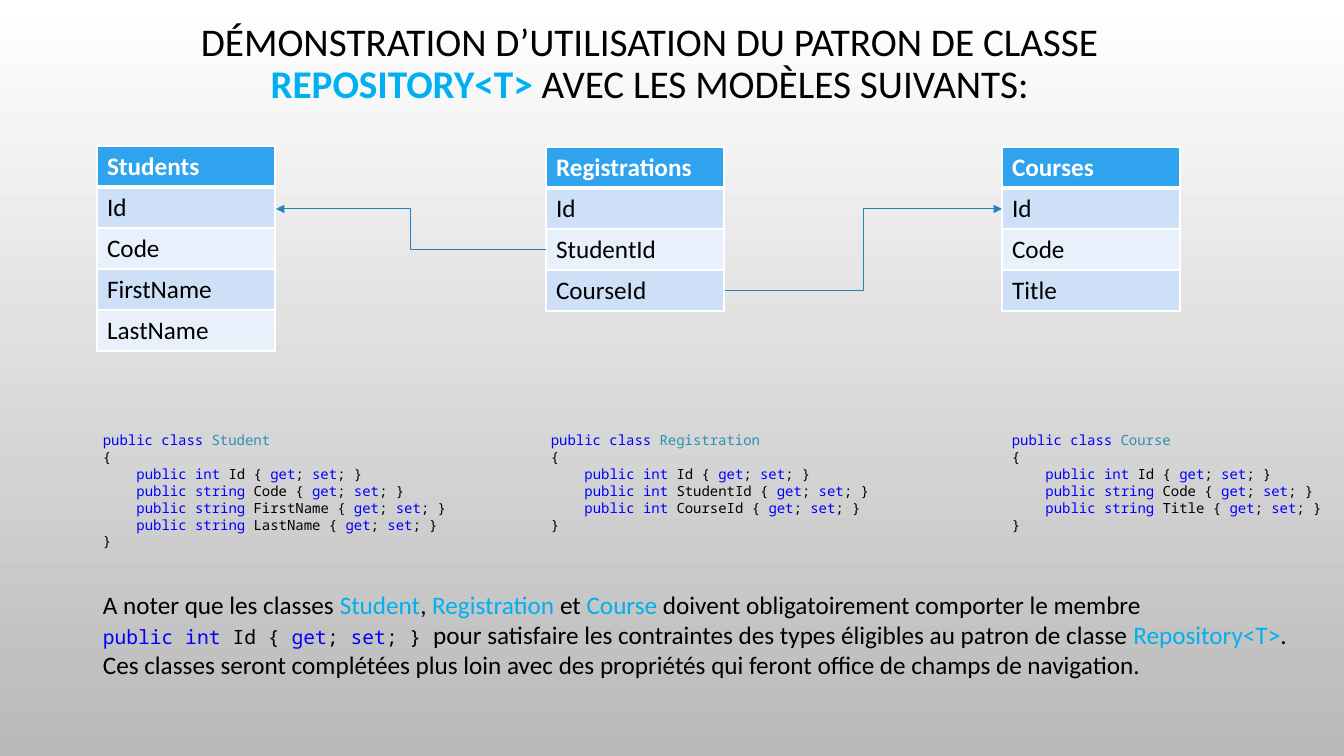
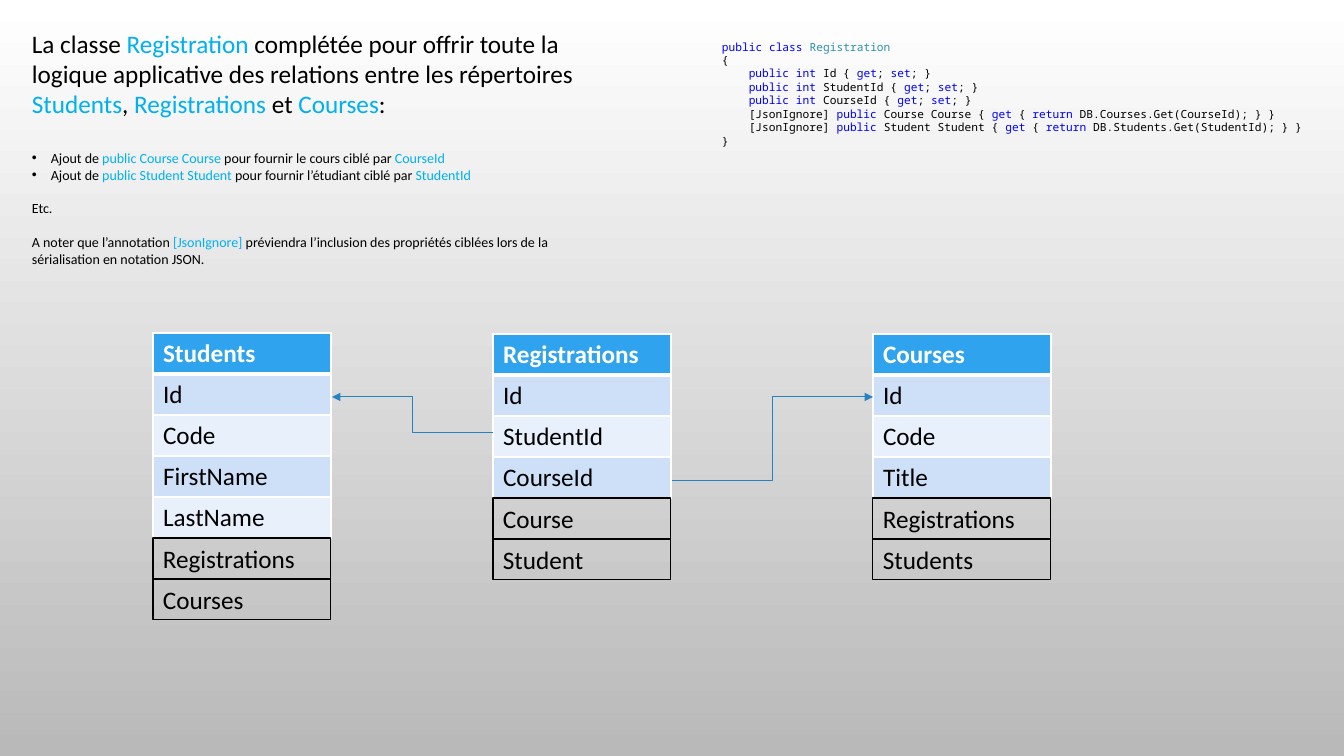
import itertools

import lxml.etree
import pptx
import pptx.dml.color
import pptx.enum.shapes
import pptx.enum.text
import pptx.oxml.ns
import pptx.util

RGBColor = pptx.dml.color.RGBColor
BLACK = RGBColor(0x00, 0x00, 0x00)
WHITE = RGBColor(0xFF, 0xFF, 0xFF)
GREY = RGBColor(0xB9, 0xB9, 0xB9)
ACCENT = RGBColor(0x00, 0xB0, 0xF0)
KEYWORD = RGBColor(0x00, 0x00, 0xFF)
TYPE_NAME = RGBColor(0x2B, 0x91, 0xAF)
HEADER = RGBColor(0x2F, 0xA3, 0xEE)
BANDS = [RGBColor(0xCD, 0xE0, 0xF8), RGBColor(0xE8, 0xF0, 0xFC)]
LINK = RGBColor(0x26, 0x83, 0xBF)

PROSE_FONT = "Calibri"
CODE_FONT = "Noto Sans Mono"
KEYWORDS = {"public", "class", "int", "string", "get", "set", "return"}
SLIDE_WIDTH, SLIDE_HEIGHT = 1344, 756
SCALE = 12192000 / SLIDE_WIDTH
TABLE_WIDTH, ROW_HEIGHT = 178, 41

STUDENTS = ["Students", "Id", "Code", "FirstName", "LastName"]
REGISTRATIONS = ["Registrations", "Id", "StudentId", "CourseId"]
COURSES = ["Courses", "Id", "Code", "Title"]


def px(length):
    return pptx.util.Emu(round(length * SCALE))


def add_xml(parent, tag, **attributes):
    return lxml.etree.SubElement(parent, pptx.oxml.ns.qn(tag), attributes)


def prose(text, size=18, color=BLACK, bold=False, accent_bold=False):
    for index, part in enumerate(text.split("|")):
        if part:
            accented = index % 2 == 1
            yield part, {
                "name": PROSE_FONT,
                "size": pptx.util.Pt(size),
                "bold": accent_bold if accented else bold,
                "color": ACCENT if accented else color,
            }


def code(text, size):
    colored = []
    previous_word, color = "", BLACK
    for is_word, letters in itertools.groupby(text, str.isalnum):
        token = "".join(letters)
        if is_word:
            color = KEYWORD if token in KEYWORDS else BLACK
            if previous_word == "class":
                color = TYPE_NAME
            previous_word = token
        elif not token.isspace():
            color = BLACK
        colored.append((token, color))
    for color, tokens in itertools.groupby(colored, lambda item: item[1]):
        yield "".join(token for token, _ in tokens), {
            "name": CODE_FONT,
            "size": pptx.util.Pt(size),
            "color": color,
        }


class Deck:
    def __init__(self):
        self.presentation = pptx.Presentation()
        self.presentation.slide_width = px(SLIDE_WIDTH)
        self.presentation.slide_height = px(SLIDE_HEIGHT)
        fill = self.presentation.slide_master.background.fill
        fill.gradient()
        fill.gradient_angle = 270
        for stop, color in zip(fill.gradient_stops, [WHITE, GREY]):
            stop.color.rgb = color
        self.slide = None

    def add_slide(self, titled=False):
        layout = self.presentation.slide_layouts[5 if titled else 6]
        self.slide = self.presentation.slides.add_slide(layout)

    def add_runs(self, paragraph, runs, **formats):
        for name, value in formats.items():
            setattr(paragraph, name, value)
        for text, font_formats in runs:
            run = paragraph.add_run()
            run.text = text
            for name, value in font_formats.items():
                if name == "color":
                    run.font.color.rgb = value
                else:
                    setattr(run.font, name, value)

    def title(self, left, top, width, height, text):
        shape = self.slide.shapes.title
        box = {"left": left, "top": top, "width": width, "height": height}
        for name, value in box.items():
            setattr(shape, name, px(value))
        frame = shape.text_frame
        frame.word_wrap = True
        frame.auto_size = pptx.enum.text.MSO_AUTO_SIZE.NONE
        frame.vertical_anchor = pptx.enum.text.MSO_ANCHOR.MIDDLE
        self.add_runs(
            frame.paragraphs[0],
            prose(text, 28, accent_bold=True),
            alignment=pptx.enum.text.PP_ALIGN.CENTER,
            line_spacing=0.9,
        )

    def text(self, left, top, width, height, paragraphs):
        shape = self.slide.shapes.add_textbox(*map(px, (left, top, width, height)))
        frame = shape.text_frame
        frame.word_wrap = True
        frame.auto_size = pptx.enum.text.MSO_AUTO_SIZE.SHAPE_TO_FIT_TEXT
        for index, (runs, formats) in enumerate(paragraphs):
            paragraph = frame.add_paragraph() if index else frame.paragraphs[0]
            self.add_runs(paragraph, runs, **formats)
        return frame.paragraphs

    def bullet(self, paragraph, indent=19):
        properties = paragraph._p.get_or_add_pPr()
        properties.set("marL", str(px(indent)))
        properties.set("indent", str(-px(indent)))
        add_xml(properties, "a:buFont", typeface="Arial")
        add_xml(properties, "a:buChar", char="•")

    def class_code(self, left, top, width, height, name, members, size=10):
        lines = [f"public class {name}", "{", *members, "}"]
        paragraphs = self.text(
            left, top, width, height, [(code(line, size), {}) for line in lines]
        )
        for paragraph in paragraphs[2:-1]:
            indent = pptx.util.Pt(size * 0.6 * 4)
            paragraph._p.get_or_add_pPr().set("marL", str(indent))

    def table(self, left, top, names):
        frame = self.slide.shapes.add_table(
            len(names), 1, px(left), px(top), px(TABLE_WIDTH), px(ROW_HEIGHT * len(names))
        )
        for index, name in enumerate(names):
            is_header = index == 0
            cell = frame.table.cell(index, 0)
            properties = cell._tc.get_or_add_tcPr()
            widths = {"L": 1, "R": 1, "T": 3 if index == 1 else 1, "B": 3 if is_header else 1}
            for side, width in widths.items():
                border = add_xml(properties, f"a:ln{side}", w=str(pptx.util.Pt(width)))
                add_xml(add_xml(border, "a:solidFill"), "a:srgbClr", val=str(WHITE))
            cell.fill.solid()
            cell.fill.fore_color.rgb = HEADER if is_header else BANDS[(index - 1) % 2]
            color = WHITE if is_header else BLACK
            self.add_runs(
                cell.text_frame.paragraphs[0], prose(name, color=color, bold=is_header)
            )

    def added_fields(self, left, top, names):
        for index, name in enumerate(names):
            shape = self.slide.shapes.add_shape(
                pptx.enum.shapes.MSO_SHAPE.RECTANGLE,
                px(left), px(top + index * ROW_HEIGHT), px(TABLE_WIDTH), px(ROW_HEIGHT),
            )
            shape.shadow.inherit = False
            shape.fill.background()
            shape.line.color.rgb = BLACK
            shape.line.width = pptx.util.Pt(0.75)
            shape.text_frame.word_wrap = True
            shape.text_frame.vertical_anchor = pptx.enum.text.MSO_ANCHOR.TOP
            self.add_runs(
                shape.text_frame.paragraphs[0],
                prose(name),
                alignment=pptx.enum.text.PP_ALIGN.LEFT,
            )

    def relation(self, begin_x, begin_y, end_x, end_y):
        connector = self.slide.shapes.add_connector(
            pptx.enum.shapes.MSO_CONNECTOR.ELBOW,
            *map(px, (begin_x, begin_y, end_x, end_y)),
        )
        connector.line.color.rgb = LINK
        connector.line.width = pptx.util.Pt(0.75)
        properties = connector._element.spPr
        add_xml(properties.find(pptx.oxml.ns.qn("a:ln")), "a:tailEnd", type="triangle")
        add_xml(properties, "a:effectLst")


def models_slide(deck):
    deck.add_slide(titled=True)
    deck.title(
        93, 40, 1113, 50,
        "DÉMONSTRATION D’UTILISATION DU PATRON DE CLASSE "
        "|REPOSITORY<T> |AVEC LES MODÈLES SUIVANTS:",
    )
    deck.table(97, 146, STUDENTS)
    deck.table(546, 147, REGISTRATIONS)
    deck.table(1002, 147, COURSES)
    deck.relation(546, 250, 276, 209)
    deck.relation(725, 291, 1002, 209)

    classes = [
        (93, 367, "Student", ["int Id", "string Code", "string FirstName", "string LastName"]),
        (541, 367, "Registration", ["int Id", "int StudentId", "int CourseId"]),
        (1002, 332, "Course", ["int Id", "string Code", "string Title"]),
    ]
    for left, width, name, fields in classes:
        members = [f"public {field} {{ get; set; }}" for field in fields]
        deck.class_code(left, 427, width, 61 + 17 * len(fields), name, members)

    membership = prose(
        "A noter que les classes |Student|, |Registration| et |Course| "
        "doivent obligatoirement comporter le membre"
    )
    constraint = itertools.chain(
        code("public int Id { get; set; } ", 14),
        prose(
            "pour satisfaire les contraintes des types éligibles au patron de classe "
            "|Repository<T>|. Ces classes seront complétées plus loin avec des "
            "propriétés qui feront office de champs de navigation."
        ),
    )
    deck.text(93, 584, 1235, 102, [(membership, {}), (constraint, {})])


def navigation_slide(deck):
    deck.add_slide()
    members = [f"public int {name} {{ get; set; }}" for name in REGISTRATIONS[1:]]
    members += [
        f"[JsonIgnore] public {name} {name} {{ get {{ return DB.{name}s.Get({name}Id); }} }}"
        for name in ["Course", "Student"]
    ]
    deck.class_code(712, 35, 603, 119, "Registration", members, size=8)

    paragraphs = deck.text(22, 23, 568, 251, [
        (prose(
            "La classe |Registration| complétée pour offrir toute la logique applicative "
            "des relations entre les répertoires |Students|, |Registrations| et |Courses|:"
        ), {}),
        (prose(
            "Ajout de |public Course Course |pour fournir le cours ciblé par |CourseId", 10
        ), {"space_before": pptx.util.Pt(22)}),
        (prose(
            "Ajout de |public Student Student |pour fournir l’étudiant ciblé par |StudentId", 10
        ), {}),
        (prose("Etc.", 10), {"space_before": pptx.util.Pt(12)}),
        (prose(
            "A noter que l’annotation |[JsonIgnore] |préviendra l’inclusion des propriétés "
            "ciblées lors de la sérialisation en notation JSON.", 10
        ), {"space_before": pptx.util.Pt(12)}),
    ])
    for paragraph in paragraphs[1:3]:
        deck.bullet(paragraph)

    entities = [
        (153, 333, STUDENTS, ["Registrations", "Courses"]),
        (493, 334, REGISTRATIONS, ["Course", "Student"]),
        (873, 334, COURSES, ["Registrations", "Students"]),
    ]
    for left, top, names, additions in entities:
        deck.table(left, top, names)
        deck.added_fields(left, top + ROW_HEIGHT * len(names), additions)
    deck.relation(493, 433, 332, 397)
    deck.relation(672, 481, 873, 397)


def main():
    deck = Deck()
    models_slide(deck)
    navigation_slide(deck)
    deck.presentation.save("out.pptx")


if __name__ == "__main__":
    main()
